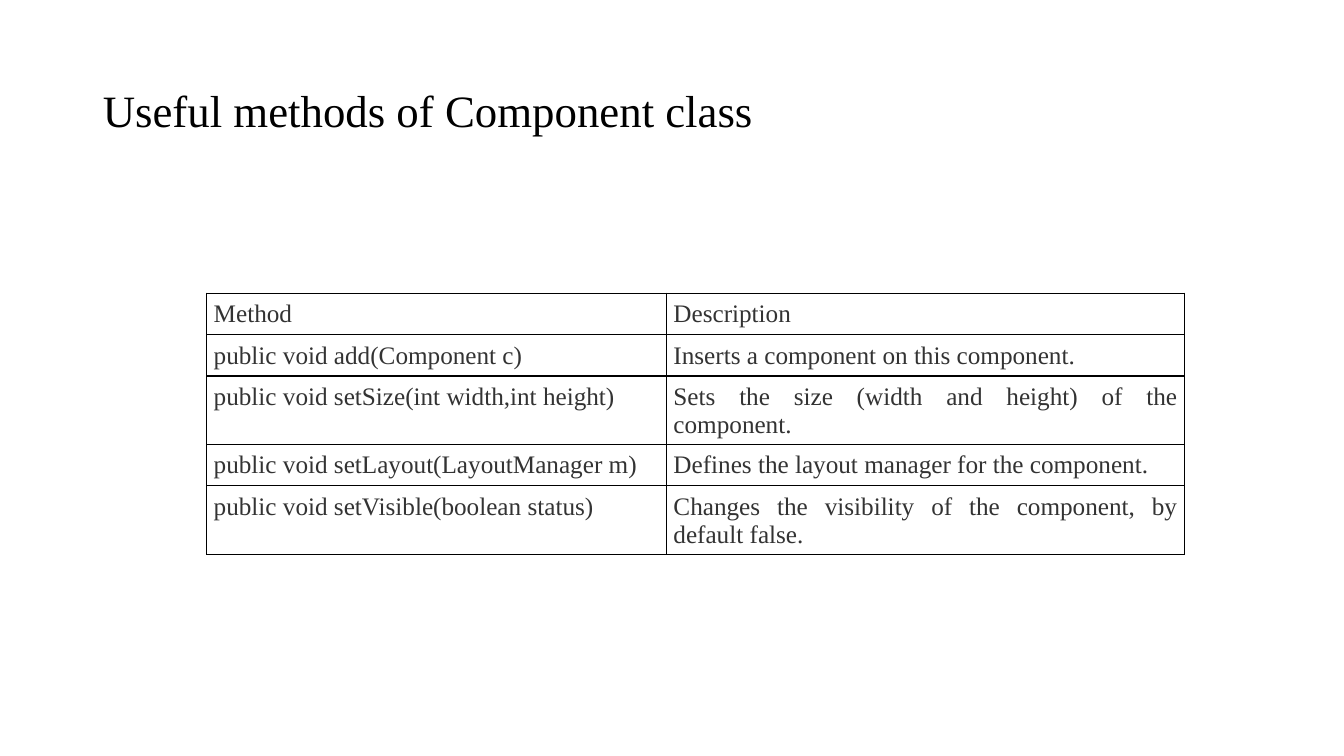
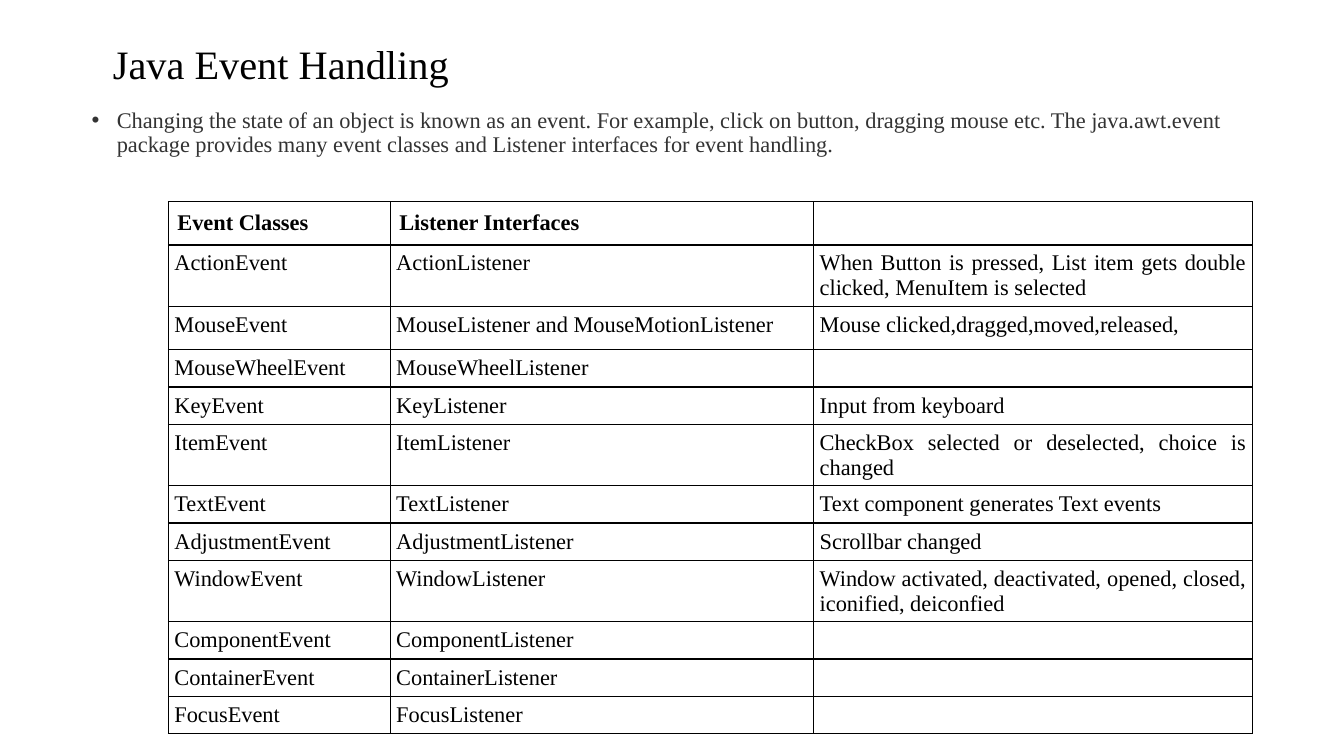
import dataclasses
import typing
import lxml.etree
import pptx
import pptx.dml.color
import pptx.enum.text
import pptx.oxml.ns
import pptx.slide
import pptx.table
import pptx.text.text
import pptx.util

Inches = pptx.util.Inches
Pt = pptx.util.Pt
Align = pptx.enum.text.PP_ALIGN
Anchor = pptx.enum.text.MSO_ANCHOR
Color = pptx.dml.color.RGBColor
qn = pptx.oxml.ns.qn

BLACK = Color(0x00, 0x00, 0x00)
GRAY = Color(0x33, 0x33, 0x33)
FONT = "Times New Roman"


@dataclasses.dataclass(frozen=True)
class Box:
    left: float
    top: float
    width: float
    height: float

    def lengths(self) -> list[int]:
        return [Inches(v) for v in dataclasses.astuple(self)]


@dataclasses.dataclass(frozen=True)
class Style:
    size: float
    color: Color = BLACK
    bold: bool = False
    align: Align = Align.LEFT
    pad: float = 0.1


@dataclasses.dataclass(frozen=True)
class Row:
    height: float
    texts: tuple[str, ...]


@dataclasses.dataclass(frozen=True)
class Grid:
    left: float
    top: float
    cols: tuple[float, ...]
    rows: tuple[Row, ...]
    head: Style
    body: Style


def write(para: pptx.text.text._Paragraph, text: str, style: Style) -> None:
    para.alignment = style.align
    run = para.add_run()
    run.text = text
    run.font.name = FONT
    run.font.size = Pt(style.size)
    run.font.bold = style.bold
    run.font.color.rgb = style.color


def add_slide(deck: typing.Any, text: str, box: Box, size: float) -> pptx.slide.Slide:
    slide = deck.slides.add_slide(deck.slide_layouts[5])
    title = slide.shapes.title
    title.left, title.top, title.width, title.height = box.lengths()
    frame = title.text_frame
    frame.auto_size = pptx.enum.text.MSO_AUTO_SIZE.NONE
    frame.vertical_anchor = Anchor.MIDDLE
    para = frame.paragraphs[0]
    para.line_spacing = 0.9
    write(para, text, Style(size))
    return slide


def add_bullet(slide: pptx.slide.Slide, text: str, box: Box, style: Style) -> None:
    frame = slide.shapes.add_textbox(*box.lengths()).text_frame
    frame.word_wrap = True
    para = frame.paragraphs[0]
    para.line_spacing = 0.9
    para.space_before = Pt(10)
    write(para, text, style)
    props = para._p.get_or_add_pPr()
    props.set("marL", str(Inches(0.25)))
    props.set("indent", str(Inches(-0.25)))
    lxml.etree.SubElement(props, qn("a:buFont"), typeface="Arial")
    lxml.etree.SubElement(props, qn("a:buChar"), char="•")


def add_edges(cell: pptx.table._Cell) -> None:
    props = cell._tc.get_or_add_tcPr()
    for spot, side in enumerate(("lnL", "lnR", "lnT", "lnB")):
        line = lxml.etree.Element(qn(f"a:{side}"), w=str(Pt(1)))
        fill = lxml.etree.SubElement(line, qn("a:solidFill"))
        lxml.etree.SubElement(fill, qn("a:srgbClr"), val=str(BLACK))
        props.insert(spot, line)


def fill_cell(cell: pptx.table._Cell, text: str, style: Style) -> None:
    pad = Inches(style.pad if text else 0.03)
    cell.margin_left = cell.margin_right = cell.margin_top = pad
    cell.margin_bottom = Inches(0.01)
    cell.vertical_anchor = Anchor.TOP
    cell.fill.background()
    add_edges(cell)
    if text:
        write(cell.text_frame.paragraphs[0], text, style)


def add_grid(slide: pptx.slide.Slide, grid: Grid) -> None:
    box = Box(grid.left, grid.top, sum(grid.cols), sum(r.height for r in grid.rows))
    table = slide.shapes.add_table(len(grid.rows), len(grid.cols), *box.lengths()).table
    table.first_row = table.horz_banding = False
    for col, width in zip(table.columns, grid.cols):
        col.width = Inches(width)
    for i, row in enumerate(grid.rows):
        table.rows[i].height = Inches(row.height)
        for j, text in enumerate(row.texts):
            fill_cell(table.cell(i, j), text, grid.body if i else grid.head)


PLAIN = Style(18, GRAY, align=Align.JUSTIFY, pad=0.07)
METHODS = Grid(2.05, 2.91, (4.56, 5.14), (
    Row(0.41, ("Method", "Description")),
    Row(0.41, ("public void add(Component c)", "Inserts a component on this component.")),
    Row(0.68, ("public void setSize(int width,int height)",
               "Sets the size (width and height) of the component.")),
    Row(0.41, ("public void setLayout(LayoutManager m)",
               "Defines the layout manager for the component.")),
    Row(0.68, ("public void setVisible(boolean status)",
               "Changes the visibility of the component, by default false.")),
), PLAIN, PLAIN)

EVENTS = Grid(1.67, 2, (2.2, 4.2, 4.35), (
    Row(0.43, ("Event Classes", "Listener Interfaces", "")),
    Row(0.61, ("ActionEvent", "ActionListener",
               "When Button is pressed, List item gets double clicked, MenuItem is selected")),
    Row(0.43, ("MouseEvent", "MouseListener and MouseMotionListener",
               "Mouse clicked,dragged,moved,released,")),
    Row(0.37, ("MouseWheelEvent", "MouseWheelListener", "")),
    Row(0.37, ("KeyEvent", "KeyListener", "Input from keyboard")),
    Row(0.61, ("ItemEvent", "ItemListener",
               "CheckBox selected or deselected, choice is changed")),
    Row(0.37, ("TextEvent", "TextListener", "Text component generates Text events")),
    Row(0.37, ("AdjustmentEvent", "AdjustmentListener", "Scrollbar changed")),
    Row(0.61, ("WindowEvent", "WindowListener",
               "Window activated, deactivated, opened, closed, iconified, deiconfied")),
    Row(0.37, ("ComponentEvent", "ComponentListener", "")),
    Row(0.37, ("ContainerEvent", "ContainerListener", "")),
    Row(0.37, ("FocusEvent", "FocusListener", "")),
), Style(16, bold=True, pad=0.09), Style(16, align=Align.JUSTIFY, pad=0.06))

NOTE = (
    "Changing the state of an object is known as an event. For example, click on button, "
    "dragging mouse etc. The java.awt.event package provides many event classes and "
    "Listener interfaces for event handling."
)


def main() -> None:
    deck = pptx.Presentation()
    deck.slide_width = Inches(13.33)
    deck.slide_height = Inches(7.5)

    slide = add_slide(deck, "Useful methods of Component class", Box(0.92, 0.4, 11.5, 1.45), 32)
    add_grid(slide, METHODS)

    slide = add_slide(deck, "Java Event Handling", Box(1.02, 0.4, 11.4, 0.51), 28.8)
    add_bullet(slide, NOTE, Box(0.81, 1.03, 11.61, 5.72), Style(16, GRAY))
    add_grid(slide, EVENTS)

    deck.save("out.pptx")


main()
